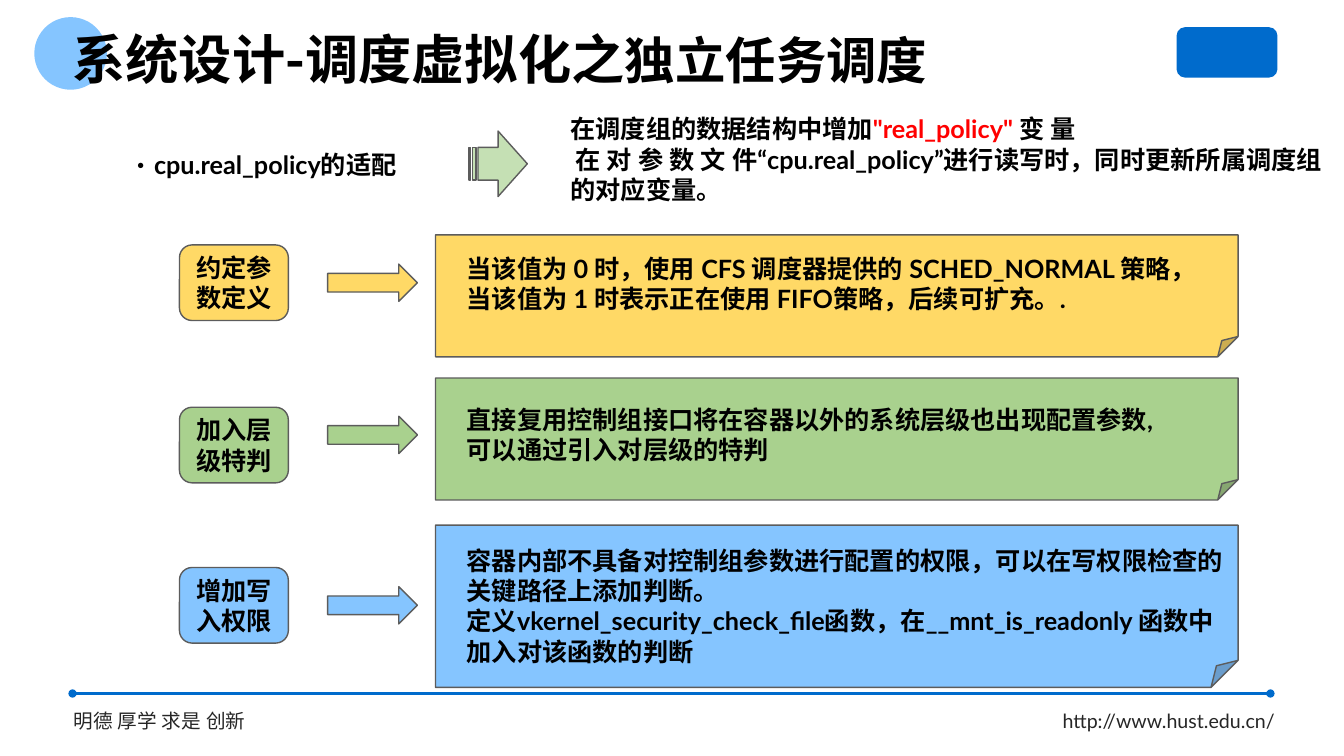
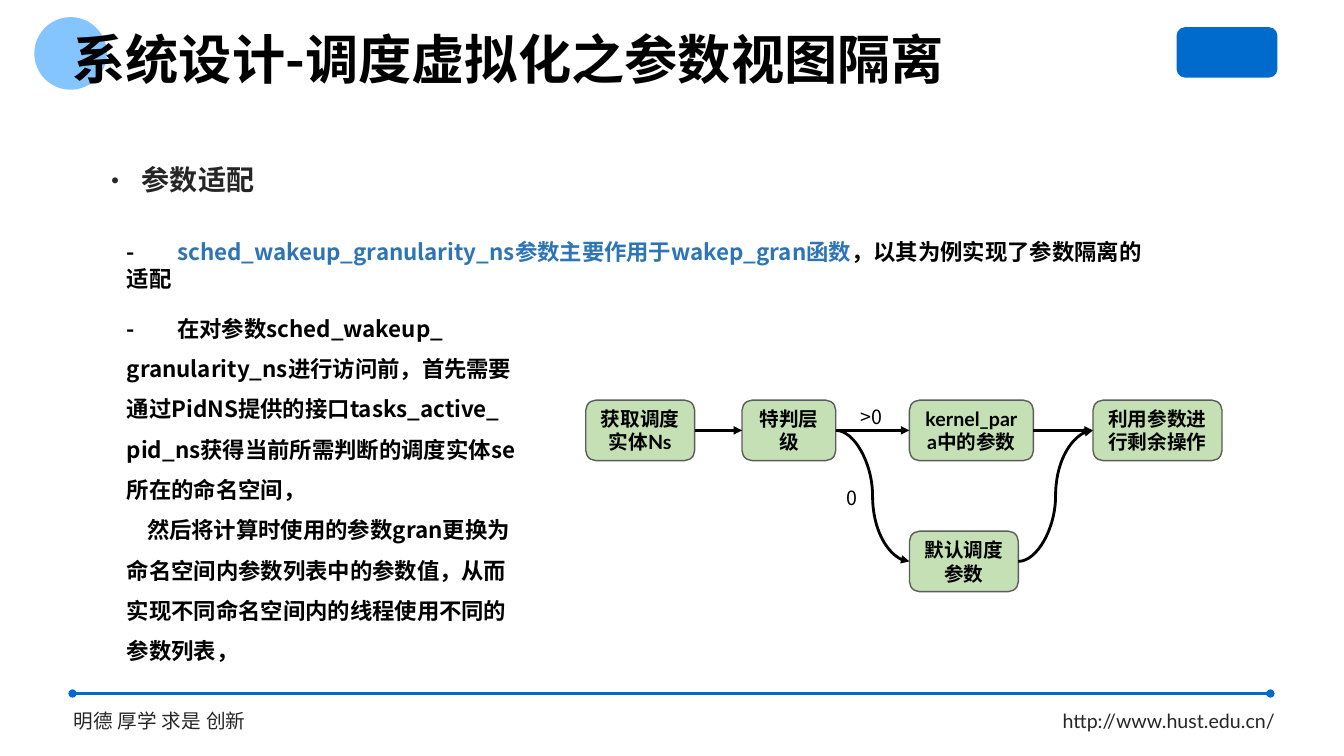
from lxml.etree import SubElement
from pptx import Presentation
from pptx.dml.color import RGBColor
from pptx.enum.shapes import MSO_CONNECTOR, MSO_SHAPE
from pptx.enum.text import MSO_ANCHOR, PP_ALIGN
from pptx.oxml.ns import qn
from pptx.util import Inches, Pt

BLACK = RGBColor(0x00, 0x00, 0x00)
DARK = RGBColor(0x26, 0x26, 0x26)
OUTLINE = RGBColor(0x5C, 0x5C, 0x5C)
BRAND_BLUE = RGBColor(0x00, 0x6B, 0xCC)
TEXT_BLUE = RGBColor(0x2E, 0x75, 0xB6)
RED = RGBColor(0xFF, 0x00, 0x00)
SKY = RGBColor(0x85, 0xC5, 0xFF)
YELLOW = RGBColor(0xFF, 0xD9, 0x66)
GREEN = RGBColor(0xA9, 0xD1, 0x8E)
PALE_GREEN = RGBColor(0xC5, 0xE0, 0xB4)

LATO = "Lato"
NOTO = "Noto Sans CJK SC"
RIGHT_SITE, LEFT_SITE = 3, 1


def style_span(span, size, font, color, bold):
    span.font.size = Pt(size)
    span.font.bold = bold
    span.font.color.rgb = color
    span.font.name = font
    SubElement(span.font._element, qn("a:ea")).set("typeface", font)


def write(frame, paras, size, font=LATO, color=BLACK, bold=True, spacing=None):
    """Fill a frame; each paragraph is a string or a list of (text, colour) pairs."""
    frame.word_wrap = True
    for index, content in enumerate(paras):
        para = frame.paragraphs[0] if index == 0 else frame.add_paragraph()
        if spacing:
            para.line_spacing = spacing
        spans = [(content, color)] if isinstance(content, str) else content
        for text, span_color in spans:
            span = para.add_run()
            span.text = text
            style_span(span, size, font, span_color, bold)
    return frame


def add_text(page, box, paras, size, anchor=MSO_ANCHOR.TOP, **style):
    text_box = page.shapes.add_textbox(*map(Inches, box))
    text_box.text_frame.vertical_anchor = anchor
    return write(text_box.text_frame, paras, size, **style)


def indent(para, margin=0, first=0, bullet=None, tab=None):
    """Set left margin, first-line indent, bullet and tab stop, in inches."""
    properties = para._p.get_or_add_pPr()
    properties.set("marL", str(Inches(margin)))
    properties.set("indent", str(Inches(first)))
    if bullet:
        SubElement(properties, qn("a:buFont")).set("typeface", NOTO)
        SubElement(properties, qn("a:buChar")).set("char", bullet)
    if tab:
        stops = SubElement(properties, qn("a:tabLst"))
        stop = SubElement(stops, qn("a:tab"))
        stop.set("pos", str(Inches(tab)))
        stop.set("algn", "l")


def add_heading(page, box, text, size, gap, **style):
    """Bulleted heading; gap is the distance from bullet to text."""
    frame = add_text(page, box, [text], size, MSO_ANCHOR.MIDDLE, **style)
    indent(frame.paragraphs[0], gap, -gap, bullet="•")


def add_block(page, kind, box, fill, outlined=True):
    shape = page.shapes.add_shape(kind, *map(Inches, box))
    shape.shadow.inherit = False
    shape.fill.solid()
    shape.fill.fore_color.rgb = fill
    if outlined:
        shape.line.color.rgb = OUTLINE
        shape.line.width = Pt(1)
    else:
        shape.line.fill.background()
    return shape


def add_label_block(page, box, text, fill, size):
    shape = add_block(page, MSO_SHAPE.ROUNDED_RECTANGLE, box, fill)
    frame = write(shape.text_frame, [text], size)
    frame.vertical_anchor = MSO_ANCHOR.MIDDLE
    frame.paragraphs[0].alignment = PP_ALIGN.CENTER
    return shape


def add_line(page, kind, ends, color, width, **arrowheads):
    """Connector; arrowheads maps headEnd or tailEnd to a type."""
    line = page.shapes.add_connector(kind, *map(Inches, ends))
    line.line.color.rgb = color
    line.line.width = Pt(width)
    for end, style in arrowheads.items():
        SubElement(line.line._get_or_add_ln(), qn(f"a:{end}")).set("type", style)
    SubElement(line._element.spPr, qn("a:effectLst"))
    return line


def add_page(deck, title_spans):
    """Blank page with title, badge and footer; title_spans are (text, size)."""
    page = deck.slides.add_slide(deck.slide_layouts[6])
    add_block(page, MSO_SHAPE.OVAL, (0.34, 0.17, 0.72, 0.72), SKY, False)
    add_block(page, MSO_SHAPE.ROUNDED_RECTANGLE, (11.67, 0.27, 1, 0.5), BRAND_BLUE, False)
    add_line(page, MSO_CONNECTOR.STRAIGHT, (0.72, 6.88, 12.6, 6.88), BRAND_BLUE, 1.75,
             headEnd="oval", tailEnd="oval")
    for left, text in ((0.63, "明德 厚学 求是 创新"), (10.44, "http://www.hust.edu.cn/")):
        add_text(page, (left, 6.98, 2.56, 0.34), [text], 14, color=DARK, bold=False)
    title = add_text(page, (0.62, 0.29, 9.55, 0.66), [[(text, BLACK) for text, _ in title_spans]],
                     38, MSO_ANCHOR.MIDDLE, font=NOTO, spacing=0.9)
    for span, (_, size) in zip(title.paragraphs[0].runs, title_spans):
        span.font.size = Pt(size)
    return page


def add_measure(page, top, height, fill, tag, tag_drop, arrow_drop, note, note_drop, note_width):
    """Row of tag, arrow and folded note; drops are measured from the row top."""
    add_block(page, MSO_SHAPE.FOLDED_CORNER, (4.32, top, 7.96, height), fill)
    add_label_block(page, (1.78, top + tag_drop, 1.08, 0.75), tag, fill, 18)
    add_block(page, MSO_SHAPE.RIGHT_ARROW, (3.25, top + arrow_drop, 0.89, 0.37), fill)
    add_text(page, (4.53, top + note_drop, note_width, height - 2 * note_drop), note, 18)


def add_task_page(deck):
    page = add_page(deck, [("系统设计-调度虚拟化之", 38), ("独立任务调度", 36)])
    add_heading(page, (1.18, 1.35, 3.4, 0.57), "cpu.real_policy的适配", 18, 0.25)
    add_block(page, MSO_SHAPE.STRIPED_RIGHT_ARROW, (4.65, 1.3, 0.58, 0.65), PALE_GREEN)
    summary = add_text(page, (5.56, 1.08, 7.78, 1), [
        [("在调度组的数据结构中增加", BLACK), ("\"real_policy\" ", RED), ("变 量", BLACK)],
        "在 对 参 数 文 件“cpu.real_policy”进行读写时，同时更新所属调度组的对应变量。",
    ], 18)
    indent(summary.paragraphs[1], first=0.05)

    measures = [
        (2.33, 1.21, YELLOW, "约定参数定义", 0.1, 0.29, [
            "当该值为 0 时，使用 CFS 调度器提供的 SCHED_NORMAL 策略，",
            "当该值为 1 时表示正在使用 FIFO策略，后续可扩充。."], 0.13, 7.56),
        (3.75, 1.21, GREEN, "加入层级特判", 0.29, 0.38, [
            "直接复用控制组接口将在容器以外的系统层级也出现配置参数,可以通过引入对层级的特判"],
         0.21, 7.1),
        (5.21, 1.61, SKY, "增加写入权限", 0.42, 0.61, [
            "容器内部不具备对控制组参数进行配置的权限，可以在写权限检查的关键路径上添加判断。",
            "定义vkernel_security_check_file函数，在__mnt_is_readonly 函数中加入对该函数的判断"],
         0.15, 7.78),
    ]
    for measure in measures:
        add_measure(page, *measure)


def add_flow(page, left, top):
    """Flow chart of the parameter choice, with its top left corner given."""
    steps = {
        "entity": (0, 0, 1.08, "获取调度实体Ns"),
        "check": (1.55, 0, 0.93, "特判层级"),
        "kernel": (3.21, 0, 1.23, "kernel_para中的参数"),
        "finish": (5.03, 0, 1.28, "利用参数进行剩余操作"),
        "default": (3.21, 1.3, 1.08, "默认调度参数"),
    }
    blocks = {
        name: add_label_block(page, (left + x, top + y, width, 0.6), text, PALE_GREEN, 14)
        for name, (x, y, width, text) in steps.items()
    }
    links = [
        ("entity", "check", MSO_CONNECTOR.STRAIGHT),
        ("check", "kernel", MSO_CONNECTOR.STRAIGHT),
        ("check", "default", MSO_CONNECTOR.CURVE),
        ("kernel", "finish", MSO_CONNECTOR.STRAIGHT),
        ("default", "finish", MSO_CONNECTOR.CURVE),
    ]
    for start, end, kind in links:
        x, y, width, _ = steps[start]
        end_x, end_y = steps[end][:2]
        ends = (left + x + width, top + y + 0.3, left + end_x, top + end_y + 0.3)
        line = add_line(page, kind, ends, BLACK, 2, tailEnd="triangle")
        line.begin_connect(blocks[start], RIGHT_SITE)
        line.end_connect(blocks[end], LEFT_SITE)
    for x, y, text in ((2.63, 0, ">0"), (2.49, 0.8, "0")):
        add_text(page, (left + x, top + y, 0.6, 0.33), [text], 14,
                 font=NOTO, bold=False, spacing=Pt(16.8))


def add_parameter_page(deck):
    page = add_page(deck, [("系统设计-调度虚拟化之参数视图隔离", 38)])
    add_heading(page, (0.91, 1.45, 7.3, 0.66), "参数适配", 20, 0.4,
                font=NOTO, color=DARK, spacing=Pt(24))
    example = add_text(page, (1.16, 2.31, 10.47, 0.63), [[
        ("-\t", BLACK),
        ("sched_wakeup_granularity_ns参数主要作用于wakep_gran函数", TEXT_BLUE),
        ("，以其为例实现了参数隔离的适配", BLACK),
    ]], 16, font=NOTO, spacing=Pt(19.2))
    indent(example.paragraphs[0], tab=0.19)
    steps = add_text(page, (1.16, 2.94, 4.18, 3.7), [
        "-\t在对参数sched_wakeup_",
        "granularity_ns进行访问前，首先需要通过PidNS提供的接口tasks_active_",
        "pid_ns获得当前所需判断的调度实体se所在的命名空间，",
        "然后将计算时使用的参数gran更换为命名空间内参数列表中的参数值，从而实现不同命名空间内的线程使用不同的参数列表，",
    ], 16, font=NOTO, spacing=Pt(28.8))
    indent(steps.paragraphs[0], tab=0.28)
    indent(steps.paragraphs[3], first=0.2)
    add_flow(page, 5.81, 3.97)


def main():
    deck = Presentation()
    deck.slide_width = Inches(13.33)
    deck.slide_height = Inches(7.5)
    add_task_page(deck)
    add_parameter_page(deck)
    deck.save("out.pptx")


if __name__ == "__main__":
    main()
